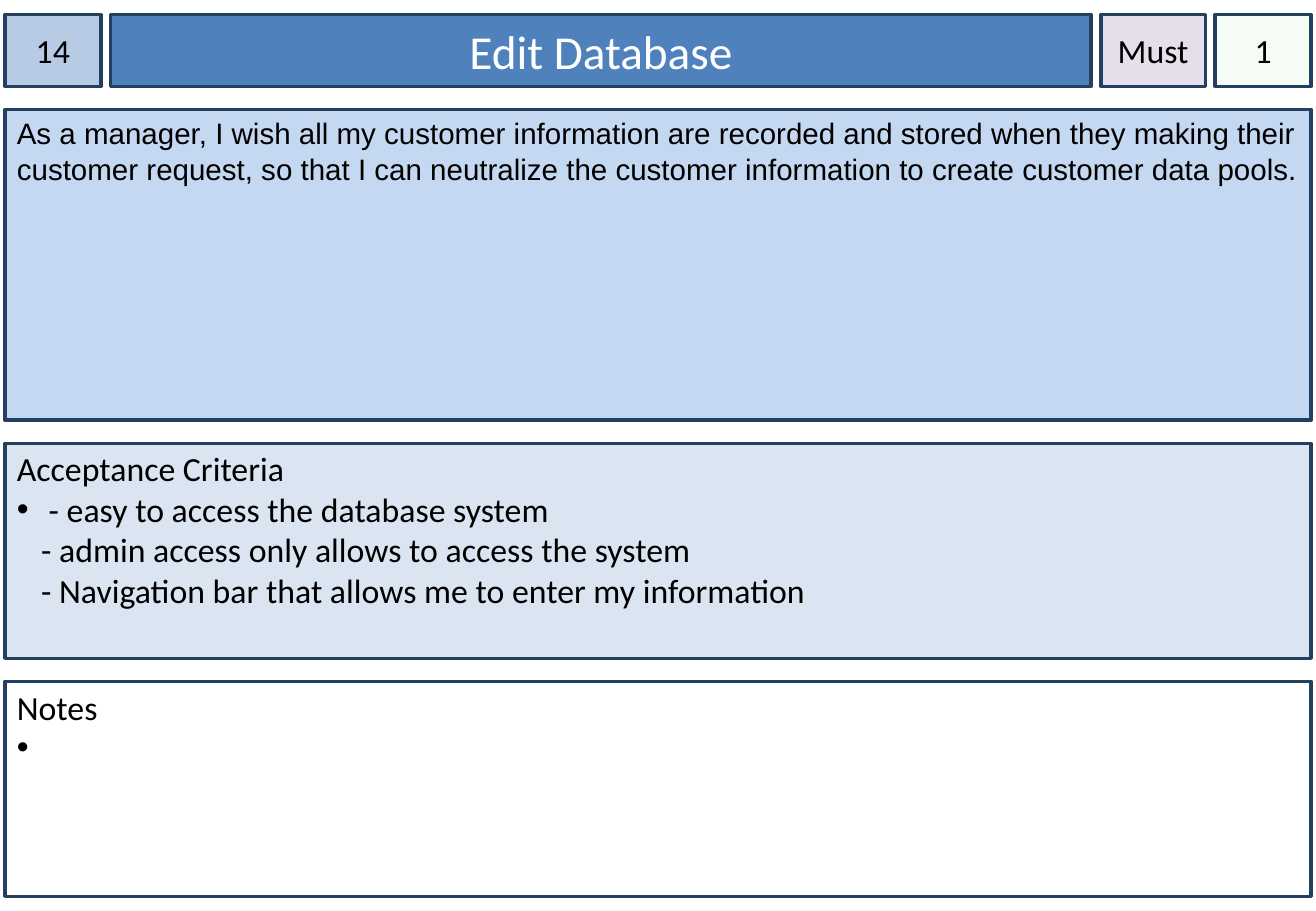
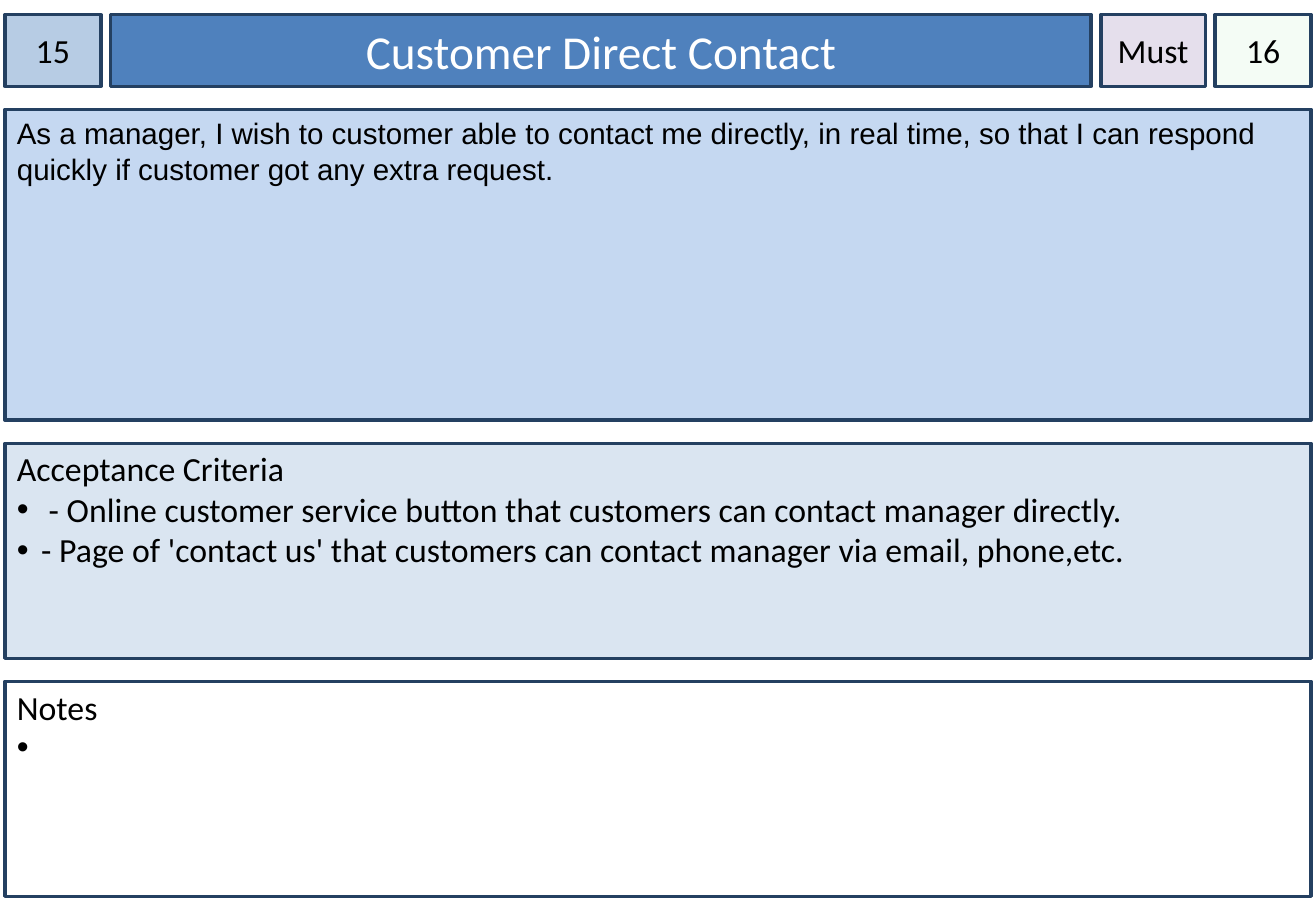
from lxml import etree
from pptx import Presentation
from pptx import util as u
from pptx.dml.color import RGBColor
from pptx.enum import shapes, text
from pptx.oxml.ns import qn

PX = 9144  # 100 px to the inch
SLIDE_W, SLIDE_H = 1083, 750
LEFT, TOP, PANEL_W = 4, 12, 1075
HEADER_H, HEADER_GAP, PANEL_GAP = 59, 8, 19
NUMBER_W, TITLE_W, PRIORITY_W, ESTIMATE_W = 79, 807, 86, 79
STORY_H, LIST_H = 256, 177
INDENT = 20

BORDER, BLACK, WHITE = "244061", "000000", "FFFFFF"
NUMBER_FILL, TITLE_FILL = "B7CCE4", "4F81BD"
PRIORITY_FILL, ESTIMATE_FILL = "E5DFEC", "CCF0CD"
STORY_FILL, CRITERIA_FILL = "C5D8F1", "DAE5F1"

CARDS = [
    dict(number="14", title="Edit Database", priority="Must", estimate="1",
         story="As a manager, I wish all my customer information are recorded and "
               "stored when they making their customer request, so that I can "
               "neutralize the customer information to create customer data pools.",
         criteria=[" - easy to access the database system\n"
                   "- admin access only allows to access the system\n"
                   "- Navigation bar that allows me to enter my information"]),
    dict(number="15", title="Customer Direct Contact", priority="Must", estimate="16",
         story="As a manager, I wish to customer able to contact me directly, in real "
               "time, so that I can respond quickly if customer got any extra request.",
         criteria=[" - Online customer service button that customers can contact "
                   "manager directly.",
                   "- Page of 'contact us' that customers can contact manager via "
                   "email, phone,etc."]),
]


def px(length):
    return u.Emu(length * PX)


def rgb(value):
    return RGBColor.from_string(value)


def add_box(slide, left, top, width, height, fill, inset=10, inset_top=5):
    box = slide.shapes.add_shape(shapes.MSO_SHAPE.RECTANGLE,
                                 px(left), px(top), px(width), px(height))
    box.shadow.inherit = False
    box.fill.solid()
    box.fill.fore_color.rgb = rgb(fill)
    box.line.color.rgb = rgb(BORDER)
    box.line.width = u.Pt(2)
    frame = box.text_frame
    frame.word_wrap = True
    frame.margin_left = frame.margin_right = px(inset)
    frame.margin_top, frame.margin_bottom = px(inset_top), px(5)
    frame.vertical_anchor = text.MSO_ANCHOR.TOP
    return box


def write(paragraph, words, size=20, font="Calibri", color=BLACK,
          align=text.PP_ALIGN.LEFT):
    paragraph.text = words
    paragraph.alignment = align
    for run in paragraph.runs:
        run.font.size = u.Pt(size)
        run.font.name = font
        run.font.color.rgb = rgb(color)


def add_bullet(paragraph):
    props = paragraph._p.get_or_add_pPr()
    props.set("marL", str(px(INDENT)))
    props.set("indent", str(px(-INDENT)))
    bullet_color = etree.SubElement(props, qn("a:buClr"))
    etree.SubElement(bullet_color, qn("a:srgbClr"), val=BLACK)
    etree.SubElement(props, qn("a:buFont"), typeface="Arial")
    etree.SubElement(props, qn("a:buChar"), char="•")


def set_opacity(box, percent):
    color = box.fill._xPr.find(qn("a:solidFill"))[0]
    etree.SubElement(color, qn("a:alpha"), val=str(percent * 1000))


def add_header_cell(slide, left, width, fill, words, inset=0, size=20, color=BLACK):
    cell = add_box(slide, left, TOP, width, HEADER_H, fill, inset)
    cell.text_frame.vertical_anchor = text.MSO_ANCHOR.MIDDLE
    write(cell.text_frame.paragraphs[0], words, size, color=color,
          align=text.PP_ALIGN.CENTER)
    return cell


def add_list_panel(slide, top, fill, heading, items):
    frame = add_box(slide, LEFT, top, PANEL_W, LIST_H, fill, inset_top=4).text_frame
    write(frame.paragraphs[0], heading)
    for item in items:
        paragraph = frame.add_paragraph()
        write(paragraph, item)
        add_bullet(paragraph)


def add_card(slide, card):
    # Header row
    title_left = LEFT + NUMBER_W + HEADER_GAP
    priority_left = title_left + TITLE_W + HEADER_GAP
    estimate_left = priority_left + PRIORITY_W + HEADER_GAP
    add_header_cell(slide, LEFT, NUMBER_W, NUMBER_FILL, card["number"])
    add_header_cell(slide, title_left, TITLE_W, TITLE_FILL, card["title"],
                    inset=10, size=28, color=WHITE)
    add_header_cell(slide, priority_left, PRIORITY_W, PRIORITY_FILL, card["priority"])
    estimate = add_header_cell(slide, estimate_left, ESTIMATE_W, ESTIMATE_FILL,
                               card["estimate"])
    set_opacity(estimate, 20)

    # Story, acceptance criteria and notes
    story_top = TOP + HEADER_H + PANEL_GAP
    criteria_top = story_top + STORY_H + PANEL_GAP
    notes_top = criteria_top + LIST_H + PANEL_GAP
    story = add_box(slide, LEFT, story_top, PANEL_W, STORY_H, STORY_FILL)
    write(story.text_frame.paragraphs[0], card["story"], 17.5, "Arial")
    add_list_panel(slide, criteria_top, CRITERIA_FILL, "Acceptance Criteria",
                   card["criteria"])
    add_list_panel(slide, notes_top, WHITE, "Notes", [" "])


def main():
    deck = Presentation()
    deck.slide_width, deck.slide_height = px(SLIDE_W), px(SLIDE_H)
    for card in CARDS:
        add_card(deck.slides.add_slide(deck.slide_layouts[6]), card)
    deck.save("out.pptx")


if __name__ == "__main__":
    main()
